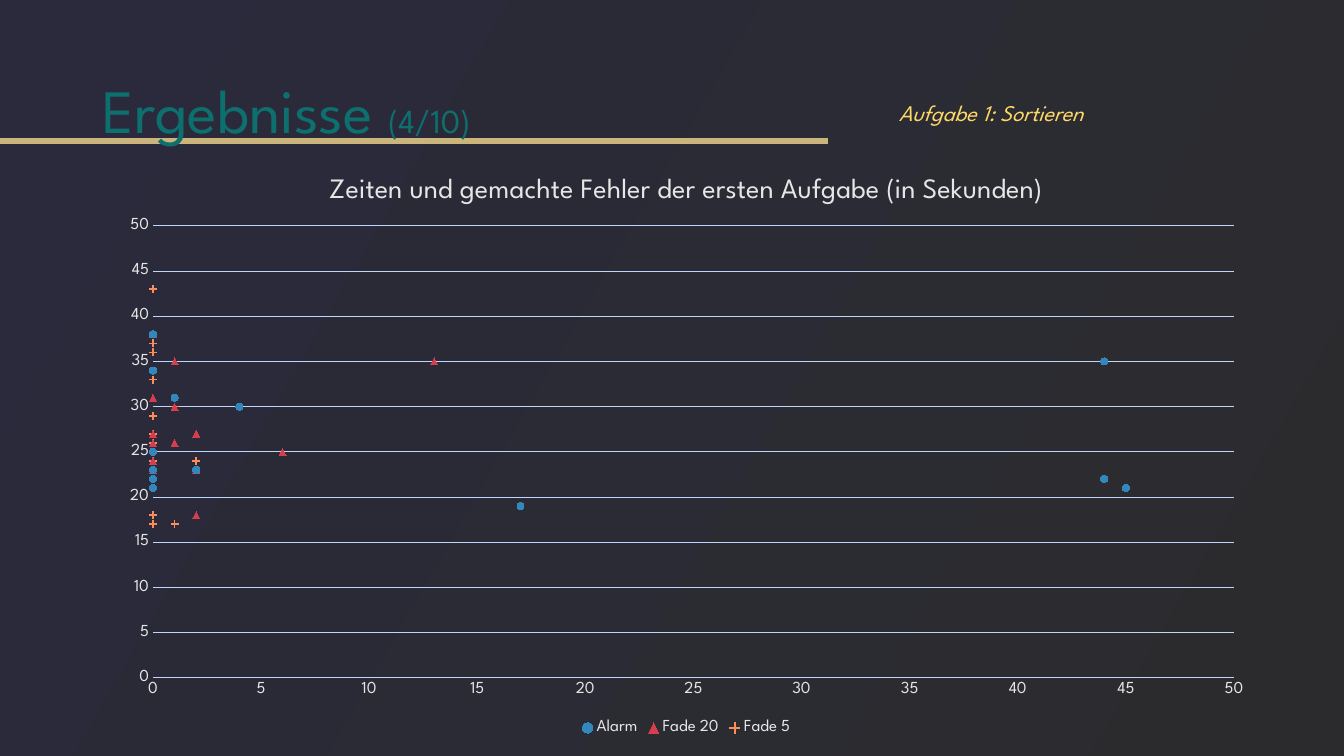
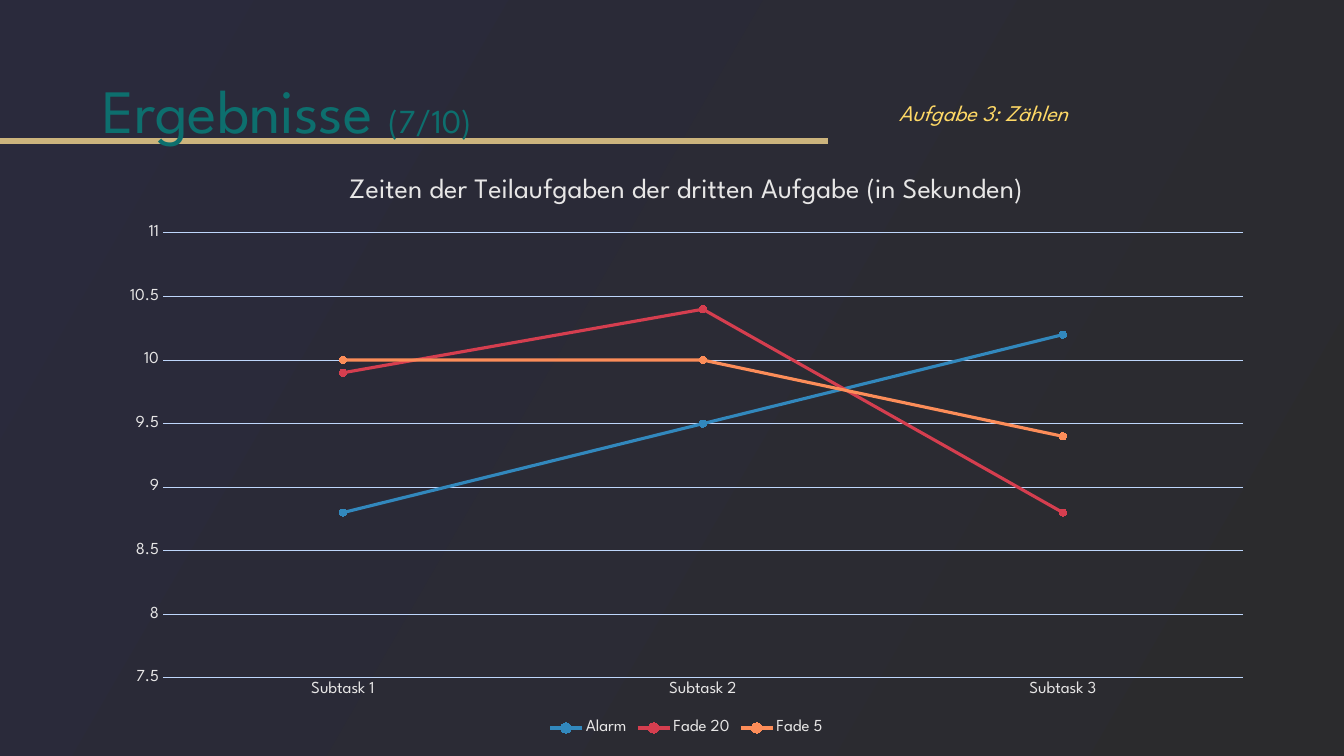
"""Builds two result slides with a scatter chart and a line chart."""
from dataclasses import dataclass

from lxml import etree
from pptx import Presentation
from pptx.chart.data import CategoryChartData, XyChartData
from pptx.dml.color import RGBColor
from pptx.enum.chart import XL_CHART_TYPE, XL_LEGEND_POSITION, XL_MARKER_STYLE, XL_TICK_MARK
from pptx.enum.shapes import MSO_CONNECTOR
from pptx.enum.text import MSO_ANCHOR, MSO_AUTO_SIZE, PP_ALIGN
from pptx.oxml.ns import qn
from pptx.util import Emu, Pt

SCATTER = XL_CHART_TYPE.XY_SCATTER
LINE = XL_CHART_TYPE.LINE_MARKERS
BOTTOM = XL_LEGEND_POSITION.BOTTOM
CIRCLE = XL_MARKER_STYLE.CIRCLE
TRIANGLE = XL_MARKER_STYLE.TRIANGLE
PLUS = XL_MARKER_STYLE.PLUS
NO_TICK = XL_TICK_MARK.NONE
STRAIGHT = MSO_CONNECTOR.STRAIGHT
MIDDLE = MSO_ANCHOR.MIDDLE
NO_FIT = MSO_AUTO_SIZE.NONE
GROW = MSO_AUTO_SIZE.SHAPE_TO_FIT_TEXT
LEFT = PP_ALIGN.LEFT

TITLE_ONLY = 5
EMU_PER_PX = 914400 / 100.8
SLIDE_SIZE = (1344, 756)
TITLE_BOX = (92, 41, 1159, 146)
TASK_BOX = (889, 94, 415, 37)
CHART_BOX = (107, 153, 1159, 587)
BAND_Y, BAND_END = 141, 828


@dataclass(frozen=True)
class Theme:
    font: str = "League Spartan"
    background: tuple = ("2A2A3C", "2B2B2D")
    background_angle: int = 330
    band: str = "CCB47D"
    title: str = "0D6F6E"
    task: str = "FFD966"
    chart_text: str = "E7E6E6"
    grid: str = "BED6FB"
    series: tuple = ("3288BD", "D53E4F", "FC8D59")
    title_size: int = 44
    counter_size: int = 24
    chart_title_size: int = 20
    task_size: int = 16
    label_size: int = 12
    band_width: float = 4.5
    grid_width: float = 0.75
    series_width: float = 2.25
    marker_size: int = 5


def px(*lengths):
    return [Emu(round(length * EMU_PER_PX)) for length in lengths]


class Deck:
    def __init__(self, theme):
        self.theme = theme
        self.slide = None
        self.presentation = Presentation()
        self.presentation.slide_width, self.presentation.slide_height = px(*SLIDE_SIZE)
        fill = self.presentation.slide_master.background.fill
        fill.gradient()
        fill.gradient_angle = theme.background_angle
        for stop, color in zip(fill.gradient_stops, theme.background):
            stop.color.rgb = RGBColor.from_string(color)

    def style_font(self, font, size, color, italic=None):
        font.name = self.theme.font
        font.size = Pt(size)
        font.color.rgb = RGBColor.from_string(color)
        font.italic = italic

    def style_line(self, line, color, width):
        line.color.rgb = RGBColor.from_string(color)
        line.width = Pt(width)

    def add_slide(self, counter, task):
        layout = self.presentation.slide_layouts[TITLE_ONLY]
        self.slide = self.presentation.slides.add_slide(layout)
        self.add_title("Ergebnisse ", counter)
        self.add_band()
        self.add_task(task)

    def add_title(self, heading, counter):
        title = self.slide.shapes.title
        title.left, title.top, title.width, title.height = px(*TITLE_BOX)
        frame = title.text_frame
        frame.vertical_anchor = MIDDLE
        frame.auto_size = NO_FIT
        paragraph = frame.paragraphs[0]
        paragraph.alignment = LEFT
        paragraph.line_spacing = 0.9
        sizes = (self.theme.title_size, self.theme.counter_size)
        for text, size in zip((heading, counter), sizes):
            run = paragraph.add_run()
            run.text = text
            self.style_font(run.font, size, self.theme.title)

    def add_band(self):
        band = self.slide.shapes.add_connector(STRAIGHT, *px(0, BAND_Y, BAND_END, BAND_Y))
        self.style_line(band.line, self.theme.band, self.theme.band_width)
        etree.SubElement(band.element.spPr, qn("a:effectLst"))
        self.slide.shapes.title.element.addprevious(band.element)

    def add_task(self, text):
        frame = self.slide.shapes.add_textbox(*px(*TASK_BOX)).text_frame
        frame.word_wrap = True
        frame.auto_size = GROW
        frame.text = text
        font = frame.paragraphs[0].runs[0].font
        self.style_font(font, self.theme.task_size, self.theme.task, italic=True)

    def add_chart(self, kind, data, title, plot_box, scale):
        theme = self.theme
        chart = self.slide.shapes.add_chart(kind, *px(*CHART_BOX), data).chart
        self.style_font(chart.font, theme.label_size, theme.chart_text)
        chart.has_title = True
        chart.chart_title.include_in_layout = False
        frame = chart.chart_title.text_frame
        frame.text = title
        run = frame.paragraphs[0].runs[0]
        self.style_font(run.font, theme.chart_title_size, theme.chart_text)
        run.font.bold = False
        chart.has_legend = True
        chart.legend.position = BOTTOM
        chart.legend.include_in_layout = False
        self.style_font(chart.legend.font, theme.label_size, theme.chart_text)
        for axis in (chart.category_axis, chart.value_axis):
            axis.major_tick_mark = axis.minor_tick_mark = NO_TICK
            axis.has_major_gridlines = False
            labels = axis.tick_labels
            labels.number_format = "General"
            labels.number_format_is_linked = False
            self.style_font(labels.font, theme.label_size, theme.chart_text)
        self.style_line(chart.category_axis.format.line, theme.grid, theme.grid_width)
        self.scale_axis(chart.value_axis, *scale)
        chart.value_axis.format.line.fill.background()
        grid = chart.value_axis.major_gridlines.format.line
        self.style_line(grid, theme.grid, theme.grid_width)
        chart.plots[0].vary_by_categories = False
        self.place_plot(chart, plot_box)
        return chart

    def scale_axis(self, axis, minimum, maximum, step):
        axis.minimum_scale = minimum
        axis.maximum_scale = maximum
        axis.major_unit = step

    def place_plot(self, chart, plot_box):
        plot_area = chart.element.find(".//" + qn("c:plotArea"))
        for old_layout in plot_area.findall(qn("c:layout")):
            plot_area.remove(old_layout)
        layout = etree.Element(qn("c:layout"))
        manual = etree.SubElement(layout, qn("c:manualLayout"))
        left, top, width, height = CHART_BOX
        settings = {
            "layoutTarget": "inner", "xMode": "edge", "yMode": "edge",
            "x": (plot_box[0] - left) / width, "y": (plot_box[1] - top) / height,
            "w": plot_box[2] / width, "h": plot_box[3] / height,
        }
        for name, value in settings.items():
            etree.SubElement(manual, qn("c:" + name)).set("val", str(value))
        plot_area.insert(0, layout)

    def style_marker(self, marker, style, color):
        marker.style = style
        marker.size = self.theme.marker_size
        marker.format.fill.solid()
        marker.format.fill.fore_color.rgb = RGBColor.from_string(color)
        marker.format.line.color.rgb = RGBColor.from_string(color)

    def add_scatter(self, title, errors, groups, plot_box, scale):
        data = XyChartData()
        for name, (start, seconds) in groups.items():
            series = data.add_series(name)
            times = dict(enumerate(seconds, start))
            for index, x in enumerate(errors):
                series.add_data_point(x, times.get(index))
        chart = self.add_chart(SCATTER, data, title, plot_box, scale)
        self.drop_empty_points(chart)
        self.scale_axis(chart.category_axis, *scale)
        styles = (CIRCLE, TRIANGLE, PLUS)
        for series, color, style in zip(chart.plots[0].series, self.theme.series, styles):
            series.format.line.fill.background()
            self.style_marker(series.marker, style, color)

    def drop_empty_points(self, chart):
        for values in chart.element.findall(".//" + qn("c:yVal")):
            for point in values.findall(".//" + qn("c:pt")):
                if point.findtext(qn("c:v")) in (None, "", "None"):
                    point.getparent().remove(point)

    def add_lines(self, title, categories, groups, plot_box, scale):
        data = CategoryChartData()
        data.categories = categories
        for name, seconds in groups.items():
            data.add_series(name, seconds)
        chart = self.add_chart(LINE, data, title, plot_box, scale)
        for series, color in zip(chart.plots[0].series, self.theme.series):
            series.smooth = False
            self.style_line(series.format.line, color, self.theme.series_width)
            self.style_marker(series.marker, CIRCLE, color)


def main():
    deck = Deck(Theme())

    deck.add_slide("(4/10)", "Aufgabe 1: Sortieren")
    deck.add_scatter(
        "Zeiten und gemachte Fehler der ersten Aufgabe (in Sekunden)",
        (
            0, 0, 0, 0, 45, 0, 0, 0, 0, 1, 44, 2, 4, 17, 44,
            0, 0, 0, 0, 0, 2, 2, 0, 0, 0, 1, 0, 0, 1, 0,
            6, 2, 1, 0, 0, 0, 1, 0, 0, 1, 13, 2, 0, 2, 0,
        ),
        {
            "Alarm": (0, (34, 23, 22, 21, 21, 25, 23, 38, 21, 31, 35, 23, 30, 19, 22)),
            "Fade 20": (30, (25, 27, 26, 27, 23, 26, 30, 31, 24, 35, 35, 18, 38, 23, 24)),
            "Fade 5": (15, (17, 33, 36, 24, 27, 24, 23, 27, 26, 37, 17, 43, 18, 30, 29)),
        },
        plot_box=(153, 226, 1081, 452),
        scale=(0, 50, 5),
    )

    deck.add_slide("(7/10)", "Aufgabe 3: Zählen")
    deck.add_lines(
        "Zeiten der Teilaufgaben der dritten Aufgabe (in Sekunden)",
        ("Subtask 1", "Subtask 2", "Subtask 3"),
        {
            "Alarm": (8.8, 9.5, 10.2),
            "Fade 20": (9.9, 10.4, 8.8),
            "Fade 5": (10, 10, 9.4),
        },
        plot_box=(163, 233, 1080, 445),
        scale=(7.5, 11, 0.5),
    )

    deck.presentation.save("out.pptx")


if __name__ == "__main__":
    main()
